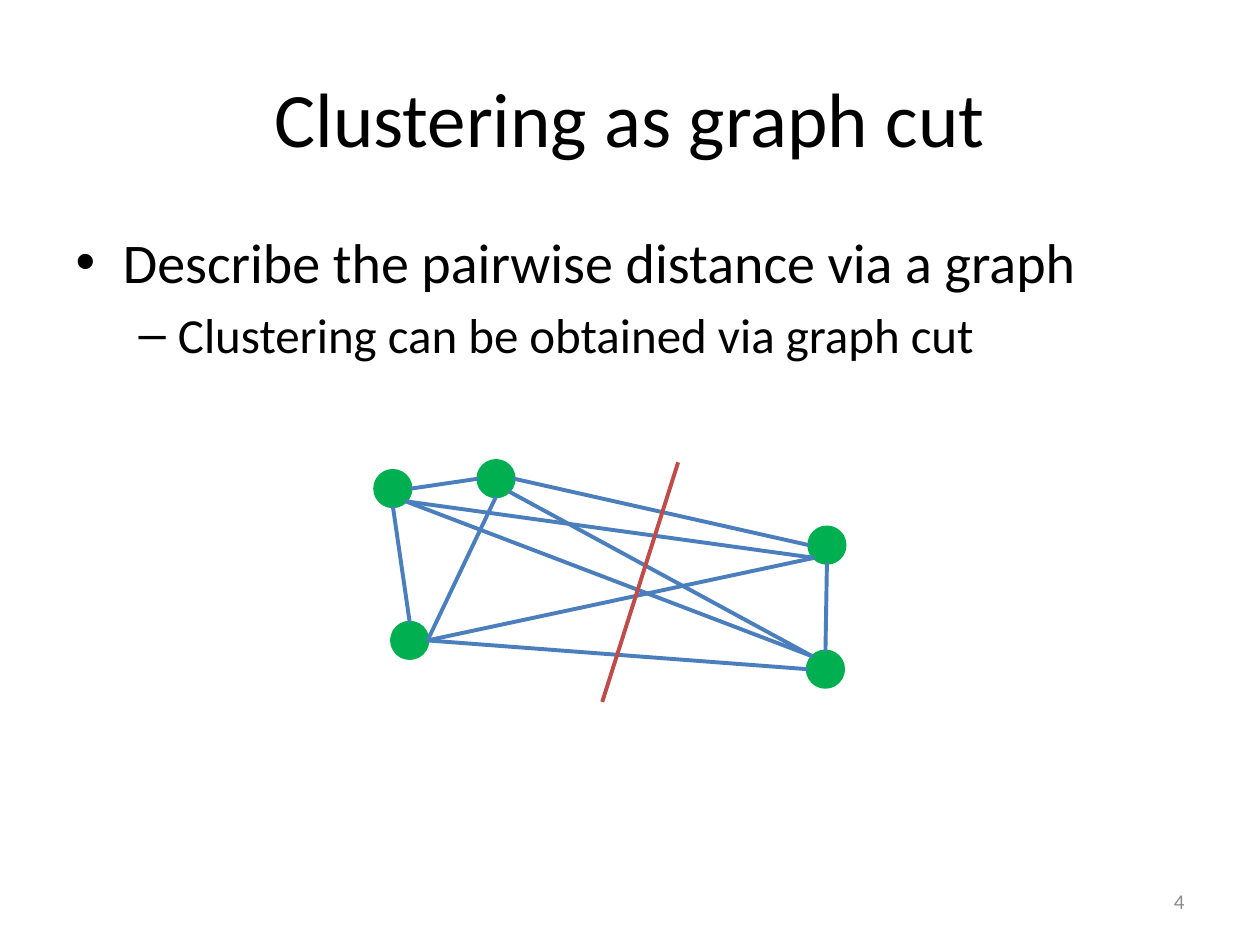
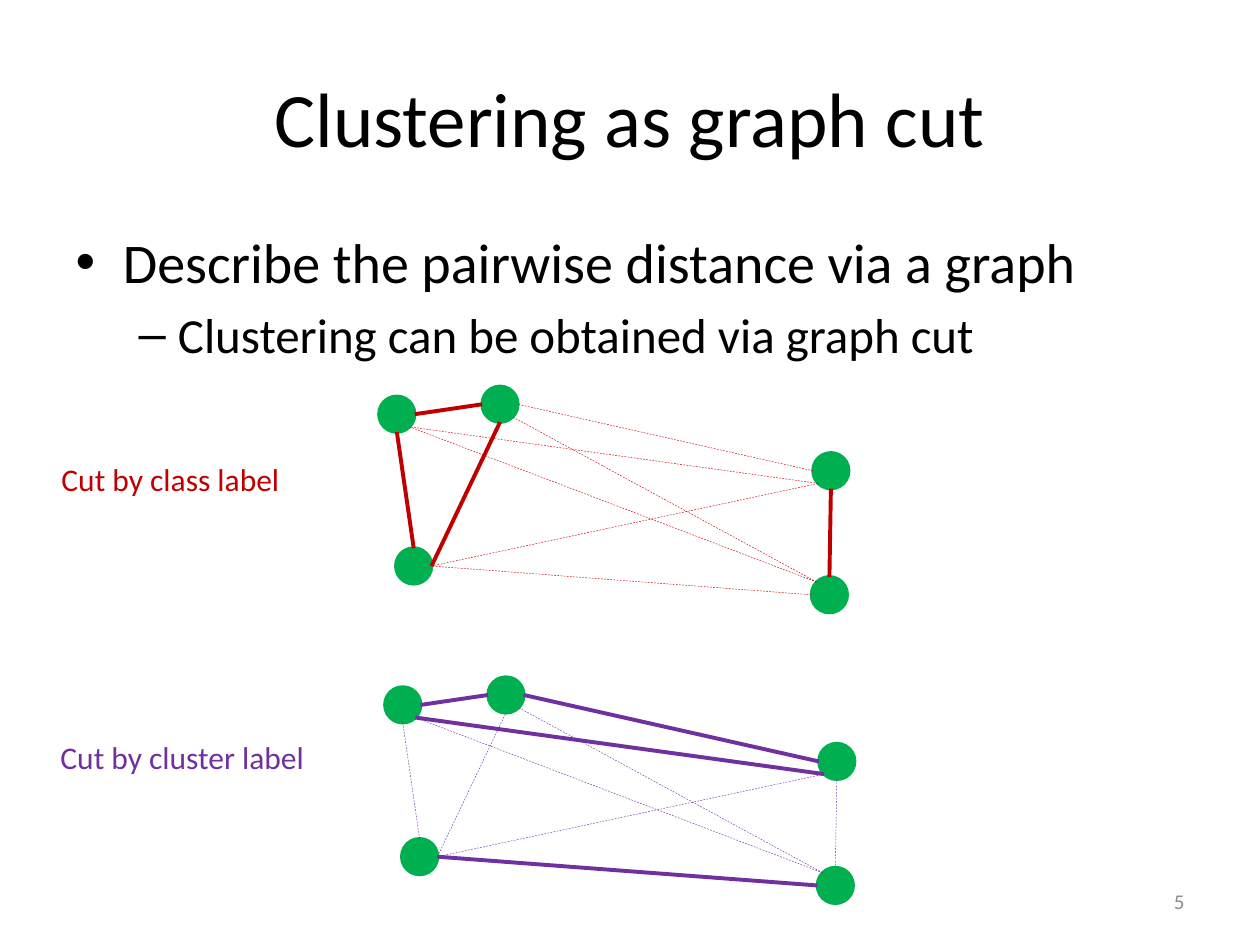
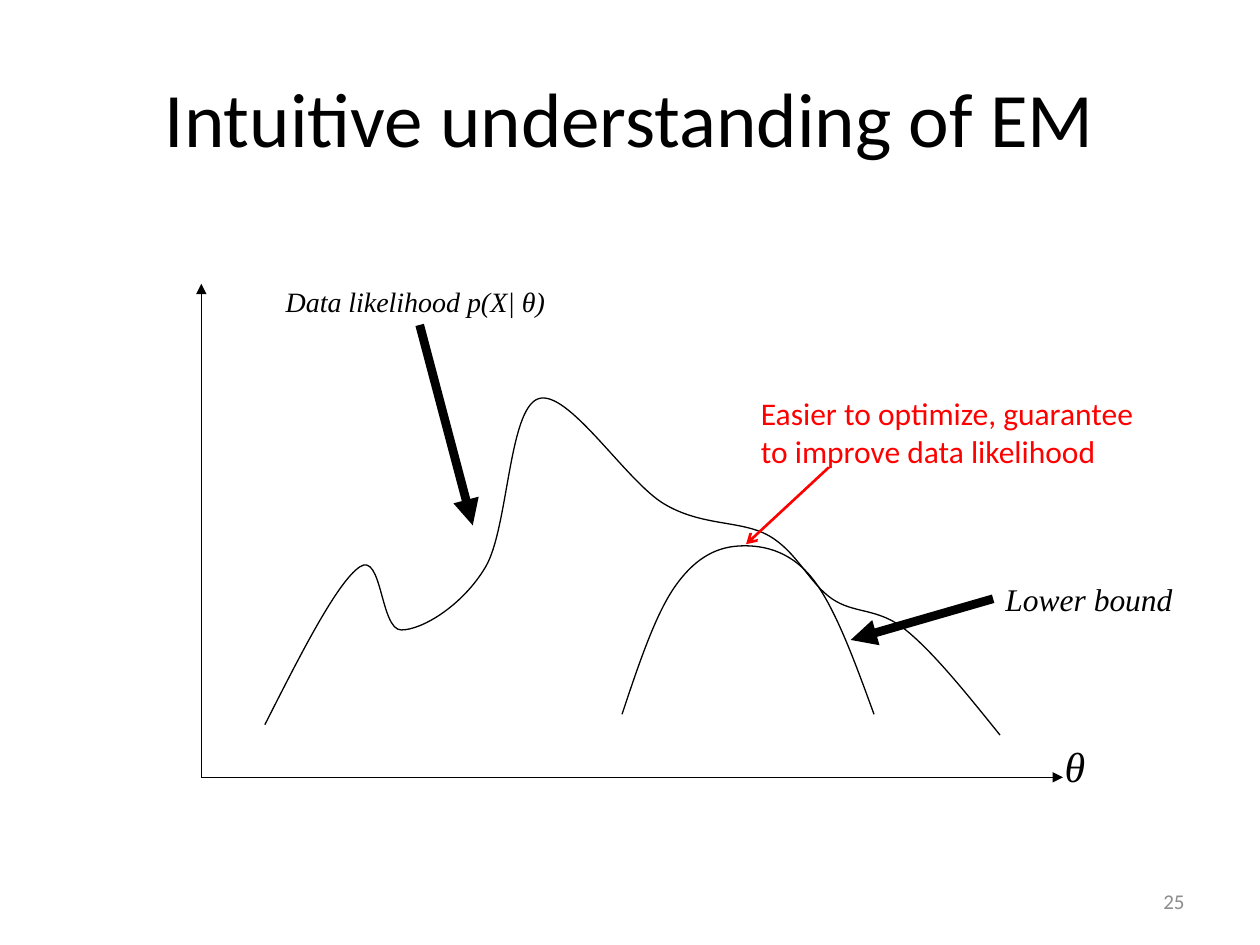
from lxml import etree
from pptx import Presentation
from pptx.dml.color import RGBColor
from pptx.enum.dml import MSO_LINE
from pptx.enum.shapes import MSO_CONNECTOR, MSO_SHAPE
from pptx.enum.text import MSO_ANCHOR, PP_ALIGN
from pptx.oxml.ns import qn
from pptx.util import Cm, Pt

STRAIGHT = MSO_CONNECTOR.STRAIGHT
OVAL = MSO_SHAPE.OVAL
DASH = MSO_LINE.DASH
MIDDLE = MSO_ANCHOR.MIDDLE
LEFT, CENTER, RIGHT = PP_ALIGN.LEFT, PP_ALIGN.CENTER, PP_ALIGN.RIGHT

COLOURS = {name: RGBColor.from_string(value) for name, value in {
    "black": "000000", "grey": "8C8C8C", "node": "00B050", "edge": "4B7EBC",
    "cut": "BF4C48", "class": "C00000", "cluster": "7030A0", "red": "FF0000",
}.items()}
SANS, SERIF = "Calibri", "Times New Roman"


def draw_line(page, start, end, colour, width, dashed=False, arrow=None):
    line = page.shapes.add_connector(STRAIGHT, *(Cm(v) for v in (*start, *end)))
    line.line.color.rgb = COLOURS[colour]
    line.line.width = Pt(width)
    if dashed:
        line.line.dash_style = DASH
    properties = line._element.spPr
    if arrow:
        etree.SubElement(properties.find(qn("a:ln")), qn("a:tailEnd"), type=arrow)
    etree.SubElement(properties, qn("a:effectLst"))


def add_label(page, text, place, size, colour, font=SANS, align=LEFT, wrap=True):
    box = page.shapes.add_textbox(*(Cm(v) for v in place))
    box.text_frame.word_wrap = wrap
    para = box.text_frame.paragraphs[0]
    para.text = text
    para.alignment = align
    para.font.name = font
    para.font.size = Pt(size)
    para.font.italic = font == SERIF
    para.font.color.rgb = COLOURS[colour]
    return box


deck = Presentation()
deck.slide_width, deck.slide_height = Cm(25.4), Cm(19.05)
CONTENT, TITLE_ONLY = deck.slide_layouts[1], deck.slide_layouts[5]

# Titles, lists and page numbers
GRAPH_TITLE = "Clustering as graph cut"
GRAPH_LIST = ["Describe the pairwise distance via a graph",
              "Clustering can be obtained via graph cut"]
pages = []
for title, items, number in [(GRAPH_TITLE, GRAPH_LIST, "4"),
                             (GRAPH_TITLE, GRAPH_LIST, "5"),
                             ("Intuitive understanding of EM", [], "25")]:
    page = deck.slides.add_slide(CONTENT if items else TITLE_ONLY)
    pages.append(page)
    heading = page.shapes.title
    heading.left, heading.top, heading.width, heading.height = (
        Cm(v) for v in (1.27, 0.76, 22.86, 3.18))
    heading.text_frame.text = title
    para = heading.text_frame.paragraphs[0]
    para.alignment = CENTER
    para.font.name, para.font.size = SANS, Pt(44)
    if items:
        body = page.placeholders[1]
        body.left, body.top, body.width, body.height = (
            Cm(v) for v in (1.27, 4.45, 22.86, 12.57))
        body.text_frame.text = "\n".join(items)
        for level, para in enumerate(body.text_frame.paragraphs):
            para.level = level
            para.font.name, para.font.size = SANS, Pt(32 - 4 * level)
    footer = add_label(page, number, (18.21, 17.65, 5.92, 1.02), 12, "grey", align=RIGHT)
    footer.text_frame.vertical_anchor = MIDDLE

# Graphs: node centres relative to node A, and where edges touch a node
RADIUS = 0.36
NODES = {"C": (0.34, 3.06), "B": (2.08, -0.2), "D": (8.75, 1.14),
         "E": (8.72, 3.64), "A": (0, 0)}
SITES = {"top": (0, -1), "left": (-1, 0), "bottom": (0, 1), "right": (1, 0),
         "top left": (-0.71, -0.71), "bottom left": (-0.71, 0.71),
         "bottom right": (0.71, 0.71)}
EDGES = [("C", "top", "A", "bottom"), ("B", "left", "A", "right"),
         ("C", "right", "B", "bottom"), ("D", "left", "B", "right"),
         ("D", "bottom", "E", "top"), ("E", "left", "C", "right"),
         ("E", "top left", "B", "bottom right"),
         ("D", "bottom left", "C", "right"),
         ("E", "top left", "A", "bottom right"),
         ("D", "bottom left", "A", "bottom right")]
ALL_PAIRS = {first + second for first, _, second, _ in EDGES}
GRAPHS = [(pages[0], 7.92, 9.85, "edge", ALL_PAIRS),
          (pages[1], 8.0, 8.35, "class", {"CA", "BA", "CB", "DE"}),
          (pages[1], 8.12, 14.21, "cluster", {"BA", "DB", "EC", "DA"})]

for page, left, top, colour, kept_pairs in GRAPHS:
    for x, y in NODES.values():
        node = page.shapes.add_shape(OVAL, Cm(left + x - RADIUS), Cm(top + y - RADIUS),
                                     Cm(2 * RADIUS), Cm(2 * RADIUS))
        node.shadow.inherit = False
        node.fill.solid()
        node.fill.fore_color.rgb = node.line.color.rgb = COLOURS["node"]
        node.line.width = Pt(2)
    for first, first_site, second, second_site in EDGES:
        start, end = (
            (left + NODES[name][0] + RADIUS * SITES[site][0],
             top + NODES[name][1] + RADIUS * SITES[site][1])
            for name, site in ((first, first_site), (second, second_site)))
        kept = first + second in kept_pairs
        draw_line(page, start, end, colour, 2.25 if kept else 0.25, dashed=not kept)

draw_line(pages[0], (13.67, 9.32), (12.14, 14.15), "cut", 2.25)
add_label(pages[1], "Cut by class label", (0.99, 9.14, 5.13, 1.02), 18, "class")
add_label(pages[1], "Cut by cluster label", (0.97, 14.76, 5.44, 1.02), 18, "cluster")

# EM: axes
page = pages[2]
ORIGIN = (4.06, 15.67)
for axis_end in [(21.43, 15.67), (4.06, 5.72)]:
    draw_line(page, ORIGIN, axis_end, "black", 0.75, arrow="triangle")

# EM: smooth curves through their anchor points
LIKELIHOOD = [(5.34, 14.61), (7.25, 11.43), (8.09, 12.7), (9.79, 11.43), (10.85, 8.04),
              (13.39, 10.16), (15.5, 10.8), (16.77, 12.07), (18.26, 12.7), (20.16, 14.82)]
LOWER_BOUND = [(17.62, 14.4), (16.36, 11.64), (14.86, 11.01), (13.59, 11.85), (12.54, 14.4)]
for anchors in (LIKELIHOOD, LOWER_BOUND):
    anchors = [(Cm(x), Cm(y)) for x, y in anchors]
    builder = page.shapes.build_freeform(*anchors[0])
    builder.add_line_segments(anchors[1:], close=False)
    curve = builder.convert_to_shape()
    curve.shadow.inherit = False
    curve.fill.background()
    curve.line.color.rgb = COLOURS["black"]
    curve.line.width = Pt(0.75)

    # Turn each straight segment into a Bézier with tangents from its neighbours
    segments = curve._element.xpath(".//a:lnTo")
    points = [(int(pt.get("x")), int(pt.get("y")))
              for pt in curve._element.xpath(".//a:path//a:pt")]
    tangents = [None] + [((c[0] - a[0]) / 6, (c[1] - a[1]) / 6)
                         for a, c in zip(points, points[2:])] + [None]
    for index, segment in enumerate(segments):
        start, end = points[index:index + 2]
        leave, arrive = tangents[index:index + 2]
        if leave:
            control_1 = [p + t for p, t in zip(start, leave)]
        if arrive:
            control_2 = [p - t for p, t in zip(end, arrive)]
        if not leave:
            control_1 = [(p + q) / 2 for p, q in zip(start, control_2)]
        if not arrive:
            control_2 = [(p + q) / 2 for p, q in zip(control_1, end)]
        segment.tag = qn("a:cubicBezTo")
        segment.remove(segment[0])
        for x, y in (control_1, control_2, end):
            etree.SubElement(segment, qn("a:pt"), x=str(round(x)), y=str(round(y)))

# EM: labels and the arrows that point from them
add_label(page, "Data likelihood p(X| θ)", (5.51, 5.61, 5.99, 0.94), 16, "black", SERIF, wrap=False)
add_label(page, "θ", (21.21, 14.81, 0.97, 1.27), 24, "black", SERIF, wrap=False)
add_label(page, "Lower bound", (20.02, 11.56, 4.78, 1.02), 18, "black", SERIF)
add_label(page, "Easier to optimize, guarantee to improve data likelihood",
          (15.09, 7.82, 8.05, 1.8), 18, "red")
draw_line(page, (8.46, 6.55), (9.53, 10.59), "black", 5, arrow="triangle")
draw_line(page, (20.02, 12.07), (17.15, 12.9), "black", 5, arrow="triangle")
draw_line(page, (16.71, 9.42), (15.04, 10.97), "red", 1.5, arrow="arrow")

deck.save("out.pptx")
